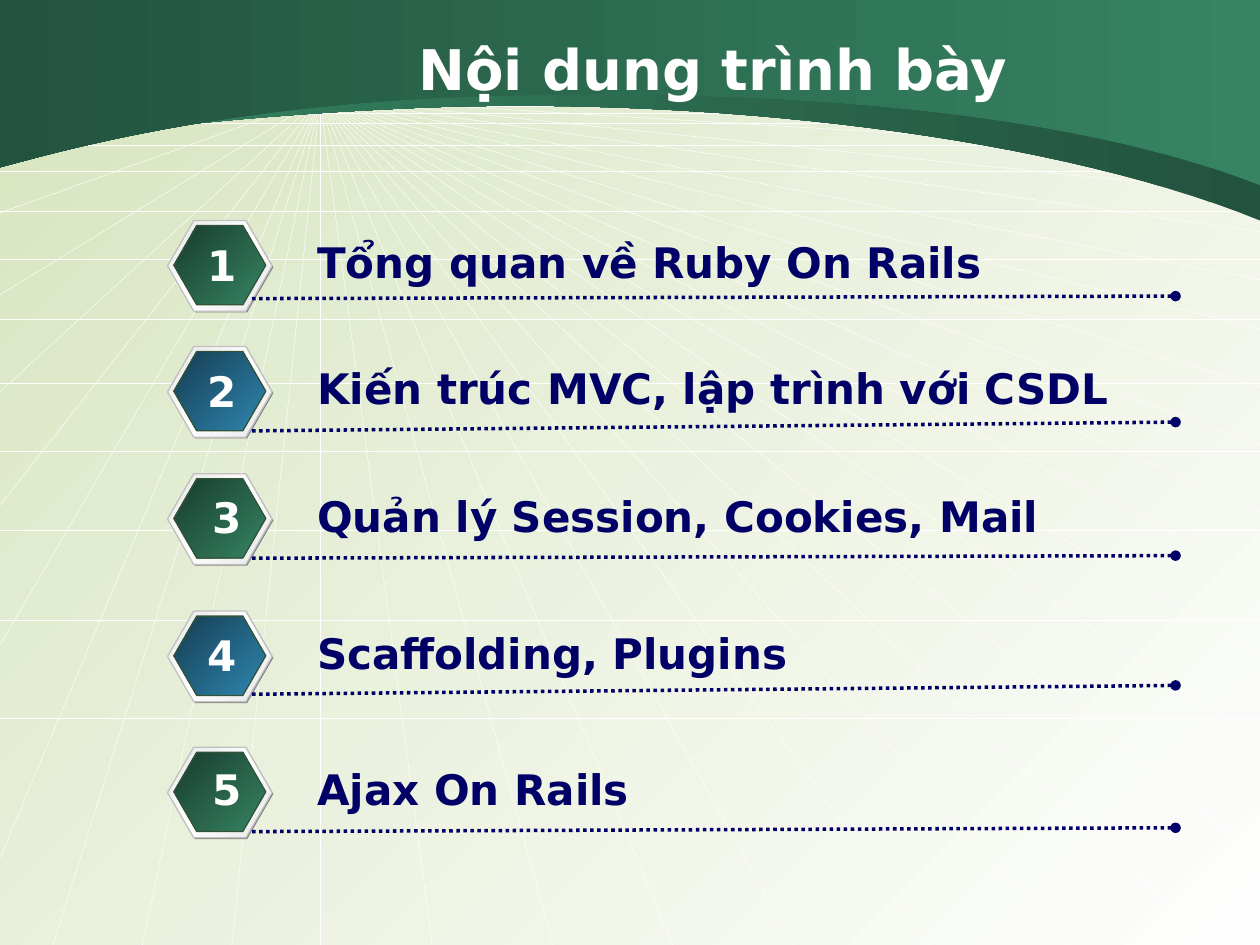
import copy

import pptx
import pptx.dml.color
import pptx.enum.dml
import pptx.enum.shapes
import pptx.enum.text
import pptx.oxml
import pptx.oxml.ns
import pptx.util

Inches = pptx.util.Inches
Pt = pptx.util.Pt
RGBColor = pptx.dml.color.RGBColor
Shapes = pptx.enum.shapes
Text = pptx.enum.text

WHITE = RGBColor(0xFF, 0xFF, 0xFF)
OFF_WHITE = RGBColor(0xFE, 0xFE, 0xFE)
PALE_GREEN = RGBColor(0xD7, 0xE4, 0xBE)
DARK_GREEN = RGBColor(0x22, 0x53, 0x3E)
GREEN = RGBColor(0x36, 0x84, 0x63)
DEEP_GREEN = RGBColor(0x18, 0x3C, 0x2D)
BLUE = RGBColor(0x2F, 0x86, 0xB1)
DEEP_BLUE = RGBColor(0x15, 0x3D, 0x51)
NAVY = RGBColor(0x00, 0x00, 0x66)
GRAY = RGBColor(0x80, 0x80, 0x80)
SILVER = RGBColor(0xC0, 0xC0, 0xC0)
LIGHT_GRAY = RGBColor(0xE6, 0xE6, 0xE6)
EDGE_GREEN = RGBColor(0x33, 0x53, 0x38)

FONT = {"name": "DejaVu Sans", "bold": True}
TITLE_FONT = {**FONT, "size": Pt(32)}
ITEM_FONT = {**FONT, "size": Pt(24)}
DIAGONAL = 135
LEFTWARD = 180

RIGHT_RAYS = (1, 1.23, 1.54, 1.84, 2.22, 2.61, 3.07, 3.53, 4.06, 4.59, 5.2, 5.89, 6.8)
BOTTOM_RAYS = (9.6, 8.46, 7.38, 6.3, 5.34, 4.39, 3.43, 2.54, 1.84, 1.13, 0.42)
LEFT_RAYS = (6.81, 5.12, 4.01, 3.11, 2.34, 1.69, 1.16, 0.97, 0.78)
HORIZONTALS = (5.7, 4.92, 4.21, 3.58, 3.04, 2.53, 2.06, 1.68, 1.36, 1.15, 0.98, 0.9, 0.84)

BANDS = (
    ((0, 1.19), ((0.12, 1.18), (1.34, 0.93), (3.48, 0.85)),
     ((5.62, 0.78), (8.32, 1.06), (10.01, 1.75)), (DARK_GREEN, GREEN)),
    ((0, 1.33), ((0.12, 1.31), (1.52, 0.85), (3.65, 0.77)),
     ((5.78, 0.69), (8.32, 0.81), (10.01, 1.47)), (GREEN, DARK_GREEN)),
)

ITEMS = (
    ("Tổng quan về Ruby On Rails", 1.75, (0.22, 0.1), (0.62, 0.6)),
    ("Kiến trúc MVC, lập trình với CSDL", 2.75, (0.22, 0.1), (0.67, 0.6)),
    ("Quản lý Session, Cookies, Mail", 3.76, (0.26, 0.09), (0.67, 0.65)),
    ("Scaffolding, Plugins", 4.85, (0.22, 0.1), (0.66, 0.59)),
    ("Ajax On Rails", 5.93, (0.26, 0.08), (0.67, 0.64)),
)


def set_attributes(target, values):
    """Set every named attribute on the target."""
    for name, value in values.items():
        setattr(target, name, value)


def set_gradient(fill, element, colors, angle):
    """Spread the colours evenly along a linear gradient."""
    fill.gradient()
    fill.gradient_angle = angle
    stop_list = element.find(".//" + pptx.oxml.ns.qn("a:gsLst"))
    for _ in colors[2:]:
        stop_list.insert(1, copy.deepcopy(stop_list[0]))
    for index, (stop, color) in enumerate(zip(fill.gradient_stops, colors)):
        stop.color.rgb = color
        stop.position = index / (len(colors) - 1)


def add_line(slide, start, end, color, width):
    """Add a straight line without a shadow."""
    line = slide.shapes.add_connector(Shapes.MSO_CONNECTOR.STRAIGHT, *start, *end)
    line.line.color.rgb = color
    line.line.width = Pt(width)
    pptx.oxml.ns.qn("a:effectLst")
    line.element.spPr.append(line.element.spPr.makeelement(pptx.oxml.ns.qn("a:effectLst"), {}))
    return line


def add_text(slide, box, text, color, formats, alignment):
    """Add one line of bold item text."""
    shape = slide.shapes.add_textbox(*box)
    set_attributes(shape.text_frame, formats)
    paragraph = shape.text_frame.paragraphs[0]
    paragraph.text = text
    paragraph.alignment = alignment
    set_attributes(paragraph.font, ITEM_FONT)
    paragraph.font.color.rgb = color


def add_perspective_grid(slide, box):
    """Draw rays from a vanishing point, crossed by level lines."""
    left, top, width, height = box
    vanishing_point = (left + Inches(2.54), top + Inches(0.78))
    ends = [(left + width, top + Inches(y)) for y in RIGHT_RAYS]
    ends += [(left + Inches(x), top + height) for x in BOTTOM_RAYS]
    ends += [(left, top + Inches(y)) for y in LEFT_RAYS]
    lines = [(vanishing_point, end) for end in ends]
    lines += [((left, top + Inches(y)), (left + width, top + Inches(y))) for y in HORIZONTALS]
    for start, end in lines:
        add_line(slide, start, end, WHITE, 0.25)


def curve_points(start, controls, steps=30):
    """Return points along a cubic curve, after its start."""
    corners = (start, *controls)
    points = []
    for step in range(1, steps + 1):
        t = step / steps
        weights = ((1 - t) ** 3, 3 * t * (1 - t) ** 2, 3 * t ** 2 * (1 - t), t ** 3)
        points.append(tuple(sum(w * corner[axis] for w, corner in zip(weights, corners))
                            for axis in (0, 1)))
    return points


def add_header(slide, box):
    """Draw the two curved bands at the top."""
    left, top, width, _ = box
    for start, first, second, colors in BANDS:
        points = [start, *curve_points(start, first), *curve_points(first[-1], second)]
        corners = [(left + Inches(x), top + Inches(y)) for x, y in points]
        builder = slide.shapes.build_freeform(left, top)
        builder.add_line_segments([*corners, (left + width, top)], close=True)
        band = builder.convert_to_shape()
        band.shadow.inherit = False
        band.line.fill.background()
        set_gradient(band.fill, band.element, colors, LEFTWARD)


def add_title(slide, box, text):
    """Place the title in front of the header."""
    title = slide.shapes.title
    slide.shapes.element.append(title.element)
    set_attributes(title, dict(zip(("left", "top", "width", "height"), box)))
    title.text_frame.vertical_anchor = Text.MSO_ANCHOR.MIDDLE
    paragraph = title.text_frame.paragraphs[0]
    paragraph.text = text
    paragraph.alignment = Text.PP_ALIGN.CENTER
    set_attributes(paragraph.font, TITLE_FONT)
    paragraph.font.color.rgb = WHITE


def add_badge(slide, box, colors):
    """Stack a shade, a silver rim and a coloured face."""
    left, top, width, height = box
    layers = (
        (0.01, 0.01, width, height, (GRAY,), None),
        (0, 0, width, height, (LIGHT_GRAY, WHITE, LIGHT_GRAY), SILVER),
        (0.05, 0.04, width - Inches(0.1), height - Inches(0.09), colors, EDGE_GREEN),
    )
    for x, y, layer_width, layer_height, fills, edge in layers:
        hexagon = slide.shapes.add_shape(
            Shapes.MSO_SHAPE.HEXAGON, left + Inches(x), top + Inches(y), layer_width, layer_height)
        hexagon.adjustments[0] = 0.289
        hexagon.shadow.inherit = False
        if edge is None:
            hexagon.fill.solid()
            hexagon.fill.fore_color.rgb = fills[0]
            hexagon.line.fill.background()
        else:
            set_gradient(hexagon.fill, hexagon.element, fills, DIAGONAL)
            hexagon.line.color.rgb = edge
            hexagon.line.width = Pt(0.75)


def add_item(slide, box, number, text, number_offset, rule_offsets):
    """Add a numbered badge, its text and the dotted rule."""
    left, top, width, height = box
    colors = (GREEN, DEEP_GREEN) if number % 2 else (BLUE, DEEP_BLUE)
    add_badge(slide, (left, top, Inches(0.83), height), colors)
    start, end = (top + Inches(offset) for offset in rule_offsets)
    rule = add_line(slide, (left + Inches(0.67), start), (left + width, end), NAVY, 2)
    rule.line.dash_style = pptx.enum.dml.MSO_LINE.ROUND_DOT
    outline = rule.line._get_or_add_ln()
    outline.append(outline.makeelement(pptx.oxml.ns.qn("a:tailEnd"), {"type": "oval"}))
    fit = {"auto_size": Text.MSO_AUTO_SIZE.SHAPE_TO_FIT_TEXT}
    add_text(slide, (left + Inches(1.09), top + Inches(0.08), Inches(7), Inches(0.5)),
             text, NAVY, {**fit, "word_wrap": True}, Text.PP_ALIGN.LEFT)
    x, y = (Inches(offset) for offset in number_offset)
    add_text(slide, (left + x, top + y, Inches(0.39), Inches(0.5)),
             str(number), WHITE, {**fit, "word_wrap": False}, Text.PP_ALIGN.CENTER)


def main():
    """Build and save the agenda slide."""
    presentation = pptx.Presentation()
    presentation.slide_width, presentation.slide_height = Inches(10), Inches(7.5)
    slide = presentation.slides.add_slide(presentation.slide_layouts[5])
    set_gradient(slide.background.fill, slide.element, (OFF_WHITE, PALE_GREEN), DIAGONAL)
    add_perspective_grid(slide, (0, 0, Inches(10), Inches(7.5)))
    add_header(slide, (Inches(-0.01), 0, Inches(10.01), Inches(1.75)))
    add_title(slide, (Inches(1.62), Inches(0.23), Inches(8.08), Inches(0.62)), "Nội dung trình bày")
    for number, (text, top, number_offset, rule_offsets) in enumerate(ITEMS, 1):
        box = (Inches(1.33), Inches(top), Inches(8), Inches(0.72))
        add_item(slide, box, number, text, number_offset, rule_offsets)
    presentation.save("out.pptx")


if __name__ == "__main__":
    main()
